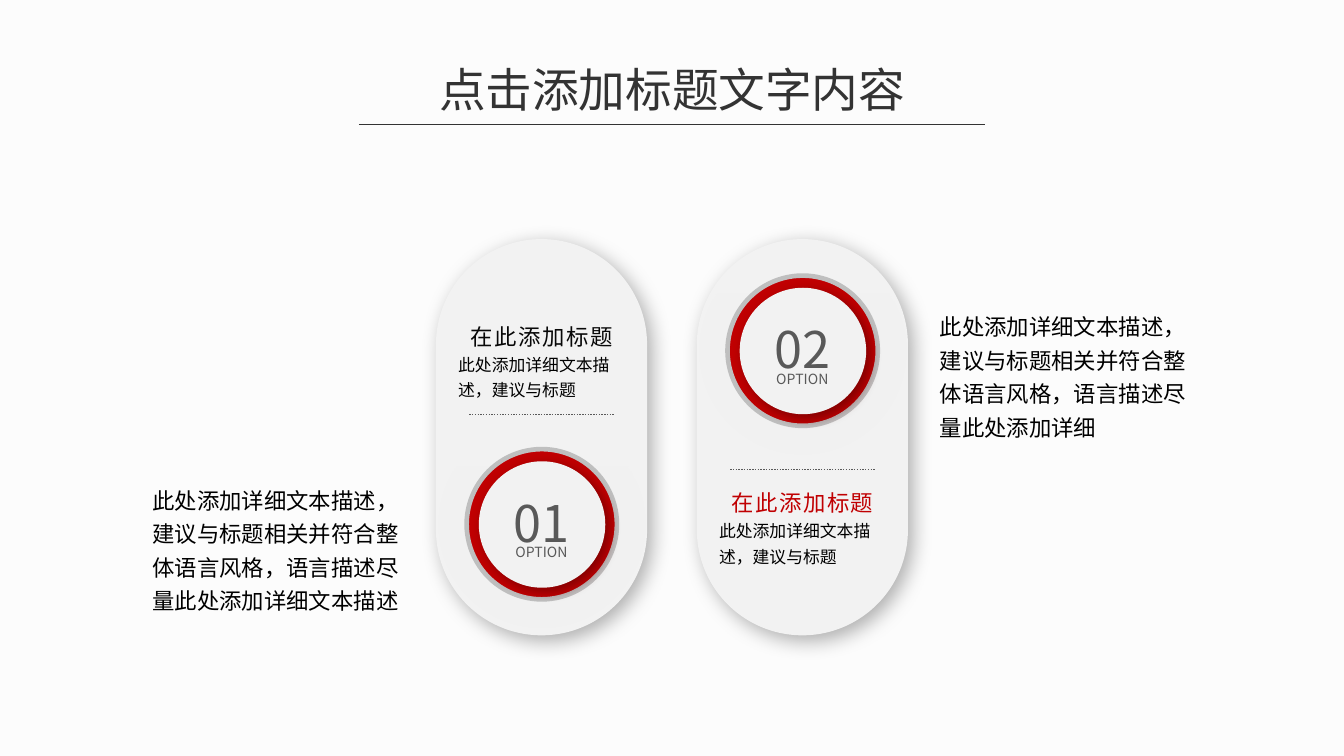
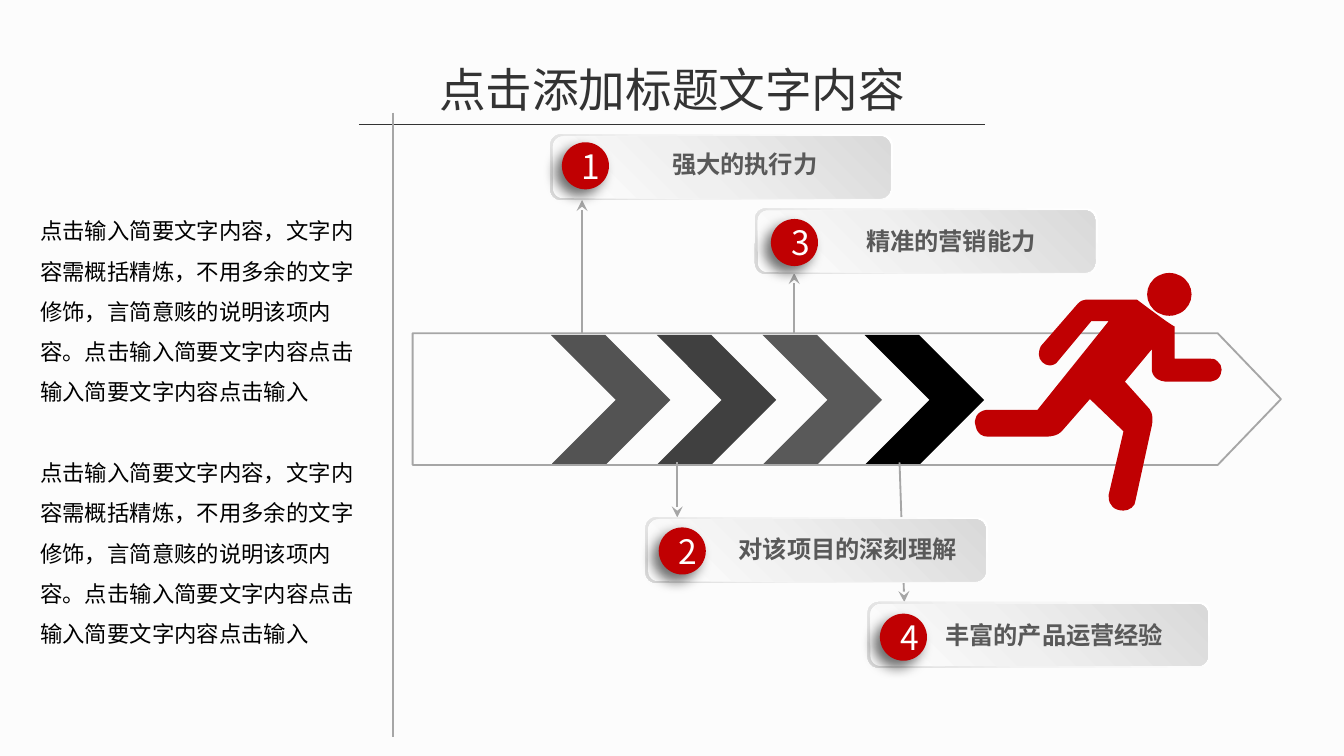
from lxml import etree
from pptx import Presentation
from pptx.dml.color import RGBColor
from pptx.enum.dml import MSO_LINE as Dash
from pptx.enum.shapes import MSO_CONNECTOR as Link, MSO_SHAPE as Form
from pptx.enum.text import MSO_ANCHOR as Anchor, MSO_AUTO_SIZE as Fit, PP_ALIGN as Align
from pptx.oxml.ns import qn
from pptx.util import Cm, Pt

hue = RGBColor.from_string
FONT = "Noto Sans CJK SC"
RED, BLACK, GREY, SILVER, PALE = "C00002", "000000", "595959", "A6A6A6", "F2F2F2"


def paint(item, fill=None, angle=0, alpha=100, line=None, width=1, dash=None, head=None, shade=None):
    """Style a shape or connector; fill is a colour or a list of gradient stops."""
    props = item._element.spPr
    if isinstance(fill, list):
        item.fill.gradient()
        item.fill.gradient_angle = -angle % 360
        stops = props.find(".//" + qn("a:gsLst"))
        stops[:] = []
        for spot, tone in fill:
            stop = etree.SubElement(stops, qn("a:gs"), pos=str(spot * 1000))
            mark = etree.SubElement(stop, qn("a:srgbClr"), val=tone)
            if alpha < 100:
                etree.SubElement(mark, qn("a:alpha"), val=str(alpha * 1000))
    elif fill:
        item.fill.solid()
        item.fill.fore_color.rgb = hue(fill)
    elif hasattr(item, "fill"):
        item.fill.background()
    if line:
        item.line.color.rgb = hue(line)
        item.line.width = Pt(width)
        if dash:
            item.line.dash_style = dash
        if head:
            etree.SubElement(props.find(qn("a:ln")), qn("a:headEnd"), type=head)
    else:
        item.line.fill.background()
    effect = etree.SubElement(props, qn("a:effectLst"))
    if shade:
        tone, depth, blur, dist, turn = shade
        cast = etree.SubElement(effect, qn("a:outerShdw"), blurRad=str(Pt(blur)), dist=str(Pt(dist)),
                                dir=str(turn * 60000), algn="ctr", rotWithShape="0")
        mark = etree.SubElement(cast, qn("a:srgbClr"), val=tone)
        etree.SubElement(mark, qn("a:alpha"), val=str(depth * 1000))
    return item


def write(text, at, size=12, color=BLACK, align=Align.LEFT, bold=False, lead=None, gap=0, track=0, inset=True):
    """Put text in a new box at (x, y, w, h), or in a given shape."""
    if isinstance(at, tuple):
        frame = slide.shapes.add_textbox(*map(Cm, at)).text_frame
        frame.auto_size = Fit.SHAPE_TO_FIT_TEXT
    else:
        frame = at.text_frame
        frame.vertical_anchor = Anchor.MIDDLE
    frame.word_wrap = True
    if not inset:
        frame.margin_left = frame.margin_right = frame.margin_top = frame.margin_bottom = 0
    for i, part in enumerate(text.split("\n")):
        para = frame.paragraphs[0] if i == 0 else frame.add_paragraph()
        para.alignment = align
        para._p.get_or_add_pPr().set("hangingPunct", "0")
        if lead:
            para.line_spacing = lead
        if i and gap:
            para.space_before = Pt(gap)
        run = para.add_run()
        run.text = part
        run.font.size, run.font.bold, run.font.name = Pt(size), bold, FONT
        run.font.color.rgb = hue(color)
        etree.SubElement(run.font._element, qn("a:ea"), typeface=FONT)
        if track:
            run.font._element.set("spc", str(round(track * 100)))


deck = Presentation()
deck.slide_width, deck.slide_height = Cm(25.4), Cm(14.29)

# Shared background, title and rule
for _ in range(2):
    slide = deck.slides.add_slide(deck.slide_layouts[6])
    slide.background.fill.solid()
    slide.background.fill.fore_color.rgb = hue("FCFCFC")
    write("点击添加标题文字内容", (8, 1.02, 9.4, 1.32), size=25, color="333333", align=Align.CENTER)
    rule = slide.shapes.add_connector(Link.STRAIGHT, Cm(6.78), Cm(2.35), Cm(18.62), Cm(2.35))
    paint(rule, line="333333", width=0.75)

# Slide 1: two option pills
slide = deck.slides[0]
shapes = slide.shapes
pills = [("01", 7.96, 5.98, 7.84, "080808"), ("02", 4.68, 9.13, 8.87, RED)]
for i, (num, top, head, dots, tone) in enumerate(pills):
    x = 8.24 + 4.93 * i
    pill = shapes.add_shape(Form.ROUNDED_RECTANGLE, Cm(x), Cm(4.52), Cm(3.99), Cm(7.49))
    pill.adjustments[0] = 0.5
    paint(pill, PALE, shade=(BLACK, 29, 11, 4, 45))

    # Halo, ring and dial
    rounds = [
        (0.05, 0, 3.91, dict(fill=[(0, "FFFFFF"), (100, "BFBFBF")], angle=90, alpha=2)),
        (0.58, 0.53, 2.84, dict(fill=RED, line="BFBFBF", width=2.5)),
        (0.81, 0.76, 2.39, dict(fill=PALE, shade=("600001", 64, 6, 3, 45))),
    ]
    for dx, dy, size, look in rounds:
        disc = shapes.add_shape(Form.OVAL, Cm(x + dx), Cm(top + dy), Cm(size), Cm(size))
        paint(disc, **look)

    # Text in the pill
    write("此处添加详细文本描述，建议与标题", (x + 0.17, head + 0.5, 3.66, 1.22), size=9, lead=1.25)
    write("在此添加标题", (x + 0.03, head, 3.94, 0.76), color=tone, align=Align.CENTER, track=0.8)
    rule = shapes.add_connector(Link.STRAIGHT, Cm(x + 0.63), Cm(dots), Cm(x + 3.37), Cm(dots))
    paint(rule, line=GREY, width=0.75, dash=Dash.ROUND_DOT)
    write(num, (x + 0.94, top + 1.21, 2.11, 1.42), size=27, color=GREY, align=Align.CENTER)
    write("OPTION", (x + 0.94, top + 2.19, 2.11, 0.58), size=7.5, color=GREY, align=Align.CENTER)

# Side notes
note = "此处添加详细文本描述，建议与标题相关并符合整体语言风格，语言描述尽量此处添加详细"
write(note, (17.51, 5.67, 5.36, 2.82), lead=1.25)
write(note + "文本描述", (2.63, 8.95, 5.36, 2.82), lead=1.25)

# Slide 2: chevrons
slide = deck.slides[1]
shapes = slide.shapes
for x, tone in [(10.41, "535353"), (12.41, "404040"), (14.41, GREY), (16.34, BLACK)]:
    chev = shapes.add_shape(Form.CHEVRON, Cm(x), Cm(6.33), Cm(2.26), Cm(2.46))
    chev.adjustments[0] = 0.544
    paint(chev, tone)

# Divider and arrows
links = [
    (7.43, 2.13, 7.43, 13.94, None),
    (15.01, 5.16, 15.01, 6.3, "stealth"),
    (11, 3.78, 11, 6.3, "stealth"),
    (17.09, 11.38, 17, 8.74, "stealth"),
    (12.8, 9.78, 12.8, 8.74, "stealth"),
]
for *ends, head in links:
    paint(shapes.add_connector(Link.STRAIGHT, *map(Cm, ends)), line=SILVER, head=head)

# Track
track = shapes.add_shape(Form.PENTAGON, Cm(7.8), Cm(6.3), Cm(16.41), Cm(2.49))
track.adjustments[0] = 0.48
paint(track, line=SILVER)

# Left column
body = ("点击输入简要文字内容，文字内容需概括精炼，不用多余的文字修饰，"
        "言简意赅的说明该项内容。点击输入简要文字内容点击输入简要文字内容点击输入")
write("\n".join([body] * 2), (0.51, 3.73, 6.83, 8.71), lead=1.5, gap=21.6)

# Numbered cards: corner, ball offset, label left and width
cards = [
    ("强大的执行力", 10.4, 2.54, 0.22, 0.15, 11.33, 5.49),
    ("对该项目的深刻理解", 12.2, 9.78, 0.25, 0.19, 13.44, 5.16),
    ("精准的营销能力", 14.27, 3.94, 0.3, 0.2, 15.33, 5.28),
    ("丰富的产品运营经验", 16.4, 11.38, 0.23, 0.22, 17.18, 5.49),
]
for num, (label, x, y, dx, dy, left, wide) in enumerate(cards, 1):
    plates = [(x, y, 6.48, 1.24, 62, PALE, 135), (x + 0.05, y + 0.04, 6.38, 1.17, 42, "F0F0F0", 315)]
    for *box, mid, tone, angle in plates:
        plate = shapes.add_shape(Form.ROUNDED_RECTANGLE, *map(Cm, box))
        paint(plate, [(0, "FFFFFF"), (mid, tone), (100, "D9D9D9")], angle)
    ball = shapes.add_shape(Form.OVAL, Cm(x + dx), Cm(y + dy), Cm(0.89), Cm(0.89))
    paint(ball, RED, shade=(BLACK, 57, 7, 5, 135))
    write(str(num), ball, size=18, color="FFFFFF", align=Align.CENTER)
    write(label, (left, y + dy + 0.13, wide, 0.56), size=13, color=GREY,
          align=Align.CENTER, bold=True, inset=False)

# Runner: two numbers make a straight step, six make a curve
paint(shapes.add_shape(Form.OVAL, Cm(21.68), Cm(5.16), Cm(0.84), Cm(0.81)), RED)
steps = [
    (736, 305), (772, 305), (825, 239), (812, 239), (787, 269),
    (786, 271, 783, 272, 781, 272), (777, 272, 773, 268, 773, 264),
    (773, 261, 774, 258, 775, 257), (802, 226), (804, 224, 806, 223, 808, 223),
    (846, 223), (846, 223, 871, 242, 874, 243), (874, 267), (901, 267),
    (904, 267, 905, 268, 906, 269), (910, 272, 910, 278, 906, 282),
    (905, 283, 904, 283, 901, 284), (867, 284), (857, 283, 857, 275, 857, 275),
    (857, 260), (837, 284), (855, 304), (855, 304, 859, 308, 857, 317),
    (845, 372), (845, 377, 840, 380, 836, 380), (829, 380, 825, 376, 825, 370),
    (825, 368), (836, 321), (811, 297), (790, 321), (790, 321, 787, 325, 778, 325),
    (735, 325), (731, 325, 727, 323, 726, 317), (724, 312, 727, 306, 734, 305),
]
steps = [[round(n * 25.4) for n in step] for step in steps]
pen = shapes.build_freeform(*steps[-1][-2:], scale=Cm(0.01) / 10)
pen.add_line_segments([step[-2:] for step in steps], close=True)
man = pen.convert_to_shape()

# Bend the curved steps
left = min(step[-2] for step in steps)
top = min(step[-1] for step in steps)
edges = man._element.spPr.findall(".//" + qn("a:lnTo"))
for edge, step in zip(edges, steps):
    if len(step) == 6:
        bend = etree.Element(qn("a:cubicBezTo"))
        for x, y in zip(step[::2], step[1::2]):
            etree.SubElement(bend, qn("a:pt"), x=str(x - left), y=str(y - top))
        edge.getparent().replace(edge, bend)
paint(man, RED)

deck.save("out.pptx")
